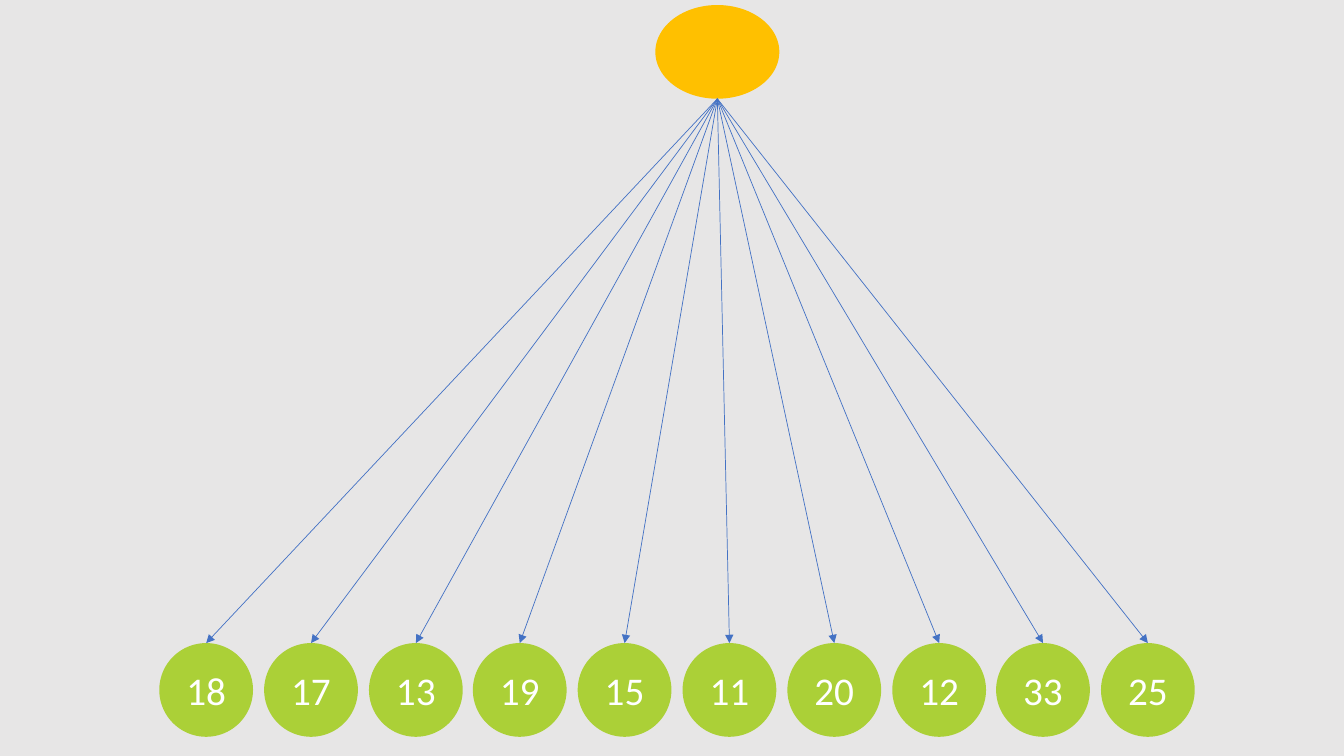
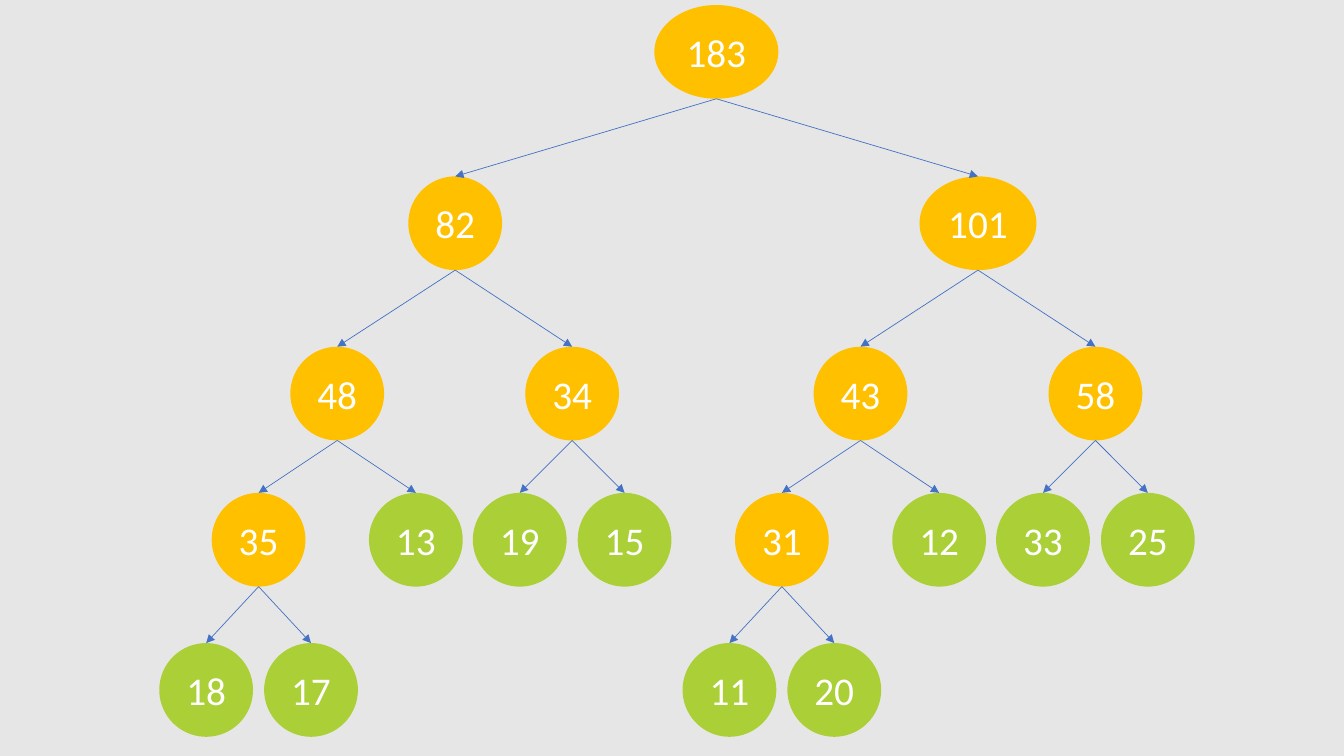
from dataclasses import dataclass
from typing import Iterator, Union

from lxml.etree import SubElement
from pptx import Presentation
from pptx.dml.color import RGBColor
from pptx.enum.shapes import MSO_CONNECTOR, MSO_SHAPE
from pptx.enum.text import MSO_ANCHOR, PP_ALIGN
from pptx.oxml.ns import qn
from pptx.shapes.autoshape import Shape
from pptx.slide import Slide
from pptx.util import Emu, Pt

PX = 9144
SLIDE_WIDTH, SLIDE_HEIGHT = 1333, 750

BACKGROUND = RGBColor(0xE7, 0xE6, 0xE6)
LEAF_GREEN = RGBColor(0xAB, 0xD0, 0x37)
BRANCH_GOLD = RGBColor(0xFF, 0xC0, 0x00)
ARROW_BLUE = RGBColor(0x44, 0x72, 0xC4)
WHITE = RGBColor(0xFF, 0xFF, 0xFF)
FONT = "Calibri"

NODE_SIZE = 93
WIDE_NODES = {0: 123, 1: 116}  # width of a three-digit node, by level
LEVEL_TOPS = (5, 175, 344, 489, 638)
FIRST_LEAF_CENTER, LEAF_STEP = 204.5, 103.8
ROOT_CENTER = 711
ELLIPSE_BOTTOM_SITE = 4

WEIGHTS = (18, 17, 13, 19, 15, 11, 20, 12, 33, 25)
Shorthand = Union[int, tuple]
TREE: Shorthand = (
    (((18, 17), 13), (19, 15)),
    (((11, 20), 12), (33, 25)),
)


@dataclass(frozen=True)
class Node:
    weight: int
    center: float
    level: int
    children: tuple["Node", ...] = ()
    labelled: bool = True


def px(length: float) -> Emu:
    return Emu(round(length) * PX)


def leaf_centers() -> Iterator[float]:
    return (FIRST_LEAF_CENTER + i * LEAF_STEP for i in range(len(WEIGHTS)))


def build_tree(branch: Shorthand, centers: Iterator[float], level: int = 0) -> Node:
    """Sum the weights upwards and centre each parent over its children."""
    if isinstance(branch, int):
        return Node(branch, next(centers), level)
    children = tuple(build_tree(part, centers, level + 1) for part in branch)
    weight = sum(child.weight for child in children)
    center = sum(child.center for child in children) / len(children)
    return Node(weight, center, level, children)


def build_star() -> Node:
    """Hang every leaf directly below one unlabelled root."""
    bottom = len(LEVEL_TOPS) - 1
    leaves = tuple(
        Node(weight, center, bottom)
        for weight, center in zip(WEIGHTS, leaf_centers())
    )
    return Node(sum(WEIGHTS), ROOT_CENTER, 0, leaves, labelled=False)


def add_node(slide: Slide, node: Node) -> Shape:
    width = WIDE_NODES[node.level] if node.weight >= 100 else NODE_SIZE
    circle = slide.shapes.add_shape(
        MSO_SHAPE.OVAL,
        px(node.center - width / 2),
        px(LEVEL_TOPS[node.level]),
        px(width),
        px(NODE_SIZE),
    )
    circle.shadow.inherit = False
    circle.fill.solid()
    circle.fill.fore_color.rgb = BRANCH_GOLD if node.children else LEAF_GREEN
    circle.line.fill.background()
    if node.labelled:
        frame = circle.text_frame
        frame.text = str(node.weight)
        frame.vertical_anchor = MSO_ANCHOR.MIDDLE
        para = frame.paragraphs[0]
        para.alignment = PP_ALIGN.CENTER
        font = para.runs[0].font
        font.name, font.size = FONT, Pt(28)
        font.color.rgb = WHITE
    return circle


def add_arrow(slide: Slide, parent: Shape, child: Shape) -> None:
    arrow = slide.shapes.add_connector(MSO_CONNECTOR.STRAIGHT, 0, 0, 0, 0)
    arrow.begin_connect(parent, 2)
    arrow.end_connect(child, 0)
    # An ellipse has eight connection sites, so its bottom has another number.
    element = arrow._element
    element.find(".//" + qn("a:stCxn")).set("idx", str(ELLIPSE_BOTTOM_SITE))
    arrow.line.color.rgb = ARROW_BLUE
    arrow.line.width = Pt(0.5)
    SubElement(arrow.line._get_or_add_ln(), qn("a:tailEnd"), type="triangle")
    SubElement(element.spPr, qn("a:effectLst"))


def draw_tree(slide: Slide, node: Node) -> Shape:
    circle = add_node(slide, node)
    for child in node.children:
        add_arrow(slide, circle, draw_tree(slide, child))
    return circle


def main() -> None:
    deck = Presentation()
    deck.slide_width, deck.slide_height = px(SLIDE_WIDTH), px(SLIDE_HEIGHT)
    blank = deck.slide_layouts.get_by_name("Blank")
    for root in (build_star(), build_tree(TREE, leaf_centers())):
        slide = deck.slides.add_slide(blank)
        slide.background.fill.solid()
        slide.background.fill.fore_color.rgb = BACKGROUND
        draw_tree(slide, root)
    deck.save("out.pptx")


if __name__ == "__main__":
    main()
